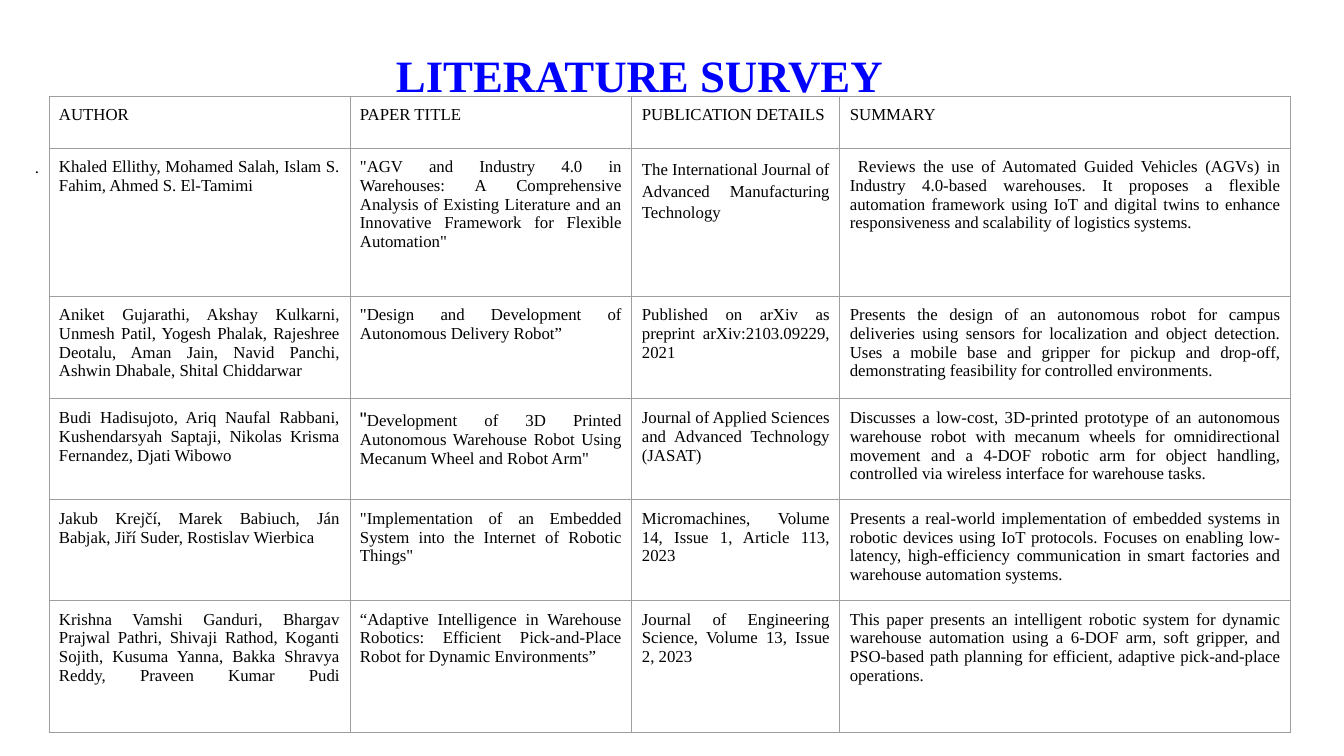
from lxml.etree import SubElement
from pptx import Presentation
from pptx.dml.color import RGBColor
from pptx.enum.text import MSO_ANCHOR, PP_ALIGN
from pptx.oxml.ns import qn
from pptx.util import Emu, Pt

HEADERS = ("AUTHOR", "PAPER TITLE", "PUBLICATION DETAILS", "SUMMARY")
PAPERS = [
    (
        "Khaled Ellithy, Mohamed Salah, Islam S. Fahim, Ahmed S. El-Tamimi",
        '"AGV and Industry 4.0 in Warehouses: A Comprehensive Analysis of Existing Literature '
        'and an Innovative Framework for Flexible Automation"',
        "The International Journal of Advanced Manufacturing Technology",
        "Reviews the use of Automated Guided Vehicles (AGVs) in Industry 4.0-based warehouses. "
        "It proposes a flexible automation framework using IoT and digital twins to enhance "
        "responsiveness and scalability of logistics systems.",
    ),
    (
        "Aniket Gujarathi, Akshay Kulkarni, Unmesh Patil, Yogesh Phalak, Rajeshree Deotalu, "
        "Aman Jain, Navid Panchi, Ashwin Dhabale, Shital Chiddarwar",
        '"Design and Development of Autonomous Delivery Robot”',
        "Published on arXiv as preprint arXiv:2103.09229, 2021",
        "Presents the design of an autonomous robot for campus deliveries using sensors for "
        "localization and object detection. Uses a mobile base and gripper for pickup and "
        "drop-off, demonstrating feasibility for controlled environments.",
    ),
    (
        "Budi Hadisujoto, Ariq Naufal Rabbani, Kushendarsyah Saptaji, Nikolas Krisma Fernandez, "
        "Djati Wibowo",
        'Development of 3D Printed Autonomous Warehouse Robot Using Mecanum Wheel and Robot Arm"',
        "Journal of Applied Sciences and Advanced Technology (JASAT)",
        "Discusses a low-cost, 3D-printed prototype of an autonomous warehouse robot with mecanum "
        "wheels for omnidirectional movement and a 4-DOF robotic arm for object handling, "
        "controlled via wireless interface for warehouse tasks.",
    ),
    (
        "Jakub Krejčí, Marek Babiuch, Ján Babjak, Jiří Suder, Rostislav Wierbica",
        '"Implementation of an Embedded System into the Internet of Robotic Things"',
        "Micromachines, Volume 14, Issue 1, Article 113, 2023",
        "Presents a real-world implementation of embedded systems in robotic devices using IoT "
        "protocols. Focuses on enabling low-latency, high-efficiency communication in smart "
        "factories and warehouse automation systems.",
    ),
    (
        "Krishna Vamshi Ganduri, Bhargav Prajwal Pathri, Shivaji Rathod, Koganti Sojith, "
        "Kusuma Yanna, Bakka Shravya Reddy, Praveen Kumar Pudi\n",
        "“Adaptive Intelligence in Warehouse Robotics: Efficient Pick-and-Place Robot for "
        "Dynamic Environments”",
        "Journal of Engineering Science, Volume 13, Issue 2, 2023",
        "This paper presents an intelligent robotic system for dynamic warehouse automation using "
        "a 6-DOF arm, soft gripper, and PSO-based path planning for efficient, adaptive "
        "pick-and-place operations.",
    ),
]
CELL_FORMATS = {
    (1, 2): {"line_spacing": 1.15, "space_before": 12},
    (1, 3): {"indent": 8},
    (3, 1): {"opening": '"'},
}
COLUMN_WIDTHS = (301, 282, 208, 451)
ROW_HEIGHTS = (52, 148, 103, 95, 95, 132)
TABLE_LEFT, TABLE_TOP = 49, 96

BLUE = RGBColor(0x00, 0x00, 0xFF)
BLACK = RGBColor(0x00, 0x00, 0x00)
BORDER_GREY = RGBColor(0x9E, 0x9E, 0x9E)
FONT = "Times New Roman"


def px(length):
    return Emu(round(length * 914400 / 100.8))


def write_text(paragraph, text, *, size=12, color=BLACK, bold=False, align=PP_ALIGN.LEFT,
               line_spacing=None, space_before=None, indent=0, opening=""):
    paragraph.alignment = align
    if line_spacing:
        paragraph.line_spacing = line_spacing
    if space_before:
        paragraph.space_before = Pt(space_before)
    if indent:
        paragraph._p.get_or_add_pPr().set("indent", str(px(indent)))
    pieces = [(opening, "Arial", 14)] if opening else []
    pieces.append((text.rstrip("\n"), FONT, size))
    for piece, font_name, font_size in pieces:
        run = paragraph.add_run()
        run.text = piece
        run.font.name = font_name
        run.font.size = Pt(font_size)
        run.font.bold = bold
        run.font.color.rgb = color
    if text.endswith("\n"):
        paragraph.add_line_break()


def add_text_box(slide, text, left, top, width, height, anchor=MSO_ANCHOR.TOP, **text_format):
    shape = slide.shapes.add_textbox(px(left), px(top), px(width), px(height))
    frame = shape.text_frame
    frame.word_wrap = True
    frame.vertical_anchor = anchor
    write_text(frame.paragraphs[0], text, **text_format)


def set_borders(cell):
    properties = cell._tc.get_or_add_tcPr()
    for index, side in enumerate(("lnL", "lnR", "lnT", "lnB")):
        line = properties.makeelement(qn(f"a:{side}"), {"w": str(Pt(0.75))})
        fill = SubElement(line, qn("a:solidFill"))
        SubElement(fill, qn("a:srgbClr"), val=str(BORDER_GREY))
        properties.insert(index, line)


def add_survey_table(slide):
    rows = [HEADERS, *PAPERS]
    table = slide.shapes.add_table(
        len(rows), len(HEADERS), px(TABLE_LEFT), px(TABLE_TOP),
        px(sum(COLUMN_WIDTHS)), px(sum(ROW_HEIGHTS)),
    ).table
    table.first_row = False
    table.horz_banding = False
    for column, width in zip(table.columns, COLUMN_WIDTHS):
        column.width = px(width)
    for row, height in zip(table.rows, ROW_HEIGHTS):
        row.height = px(height)
    for row_index, texts in enumerate(rows):
        for column_index, text in enumerate(texts):
            cell = table.cell(row_index, column_index)
            cell.margin_left = cell.margin_right = px(10)
            cell.margin_top = cell.margin_bottom = px(10)
            cell.fill.background()
            set_borders(cell)
            write_text(cell.text_frame.paragraphs[0], text, align=PP_ALIGN.JUSTIFY,
                       **CELL_FORMATS.get((row_index, column_index), {}))


def main():
    presentation = Presentation()
    presentation.slide_width, presentation.slide_height = px(1344), px(756)
    slide = presentation.slides.add_slide(presentation.slide_layouts[6])
    add_text_box(slide, "LITERATURE SURVEY", 386, 41, 635, 65, MSO_ANCHOR.BOTTOM,
                 size=32, color=BLUE, bold=True)
    add_text_box(slide, ".", 25, 152, 1293, 124)
    add_survey_table(slide)
    presentation.save("out.pptx")


if __name__ == "__main__":
    main()
